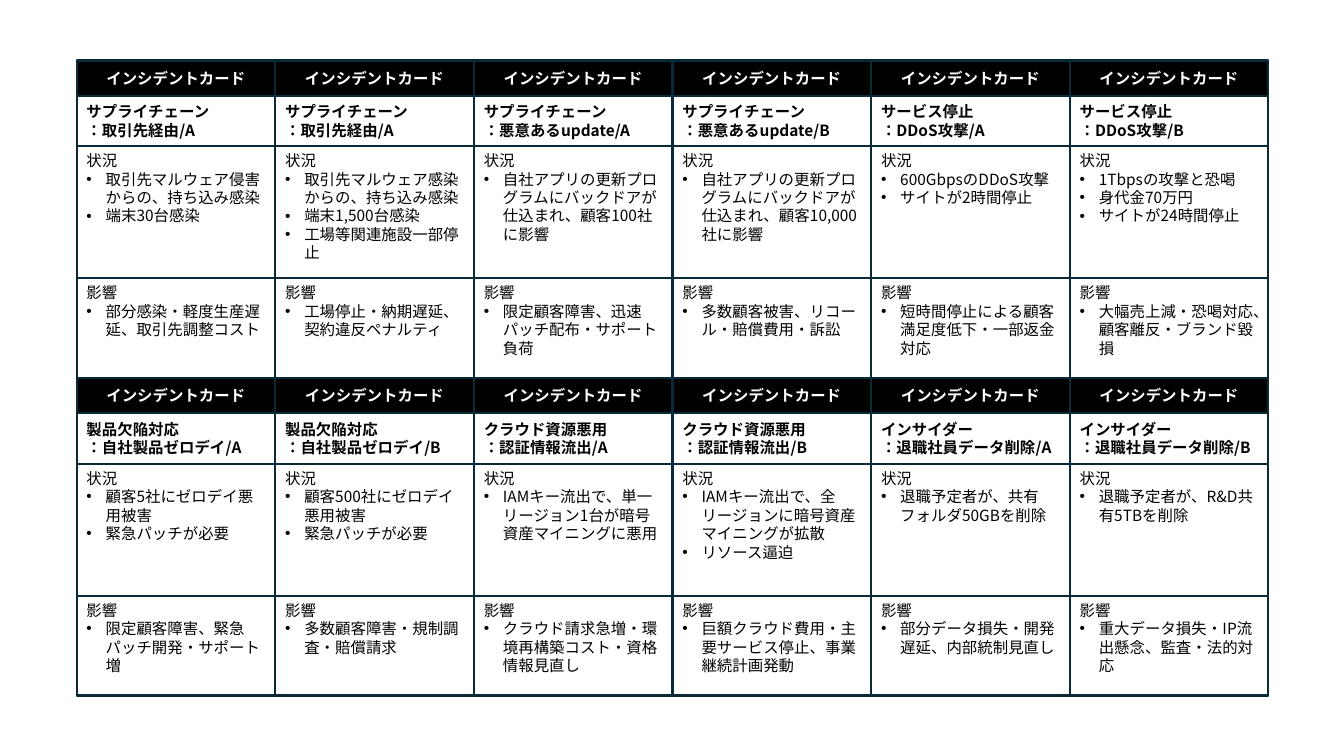
import pptx
import pptx.util
import pptx.dml.color
import pptx.enum.lang
import pptx.enum.shapes
import pptx.enum.text
import pptx.oxml.ns
from lxml import etree

Inches, Pt = pptx.util.Inches, pptx.util.Pt
ALIGN, ANCHOR = pptx.enum.text.PP_ALIGN, pptx.enum.text.MSO_ANCHOR

# Content: two rows of cards, each (category, case, situation, impact)
HEADING = "インシデントカード"
CARD_ROWS = [
    [
        ("サプライチェーン", "：取引先経由/A",
         ["取引先マルウェア侵害からの、持ち込み感染", "端末30台感染"],
         ["部分感染・軽度生産遅延、取引先調整コスト"]),
        ("サプライチェーン", "：取引先経由/A",
         ["取引先マルウェア感染からの、持ち込み感染", "端末1,500台感染", "工場等関連施設一部停止"],
         ["工場停止・納期遅延、契約違反ペナルティ"]),
        ("サプライチェーン", "：悪意あるupdate/A",
         ["自社アプリの更新プログラムにバックドアが仕込まれ、顧客100社に影響"],
         ["限定顧客障害、迅速パッチ配布・サポート負荷"]),
        ("サプライチェーン", "：悪意あるupdate/B",
         ["自社アプリの更新プログラムにバックドアが仕込まれ、顧客10,000社に影響"],
         ["多数顧客被害、リコール・賠償費用・訴訟"]),
        ("サービス停止", "：DDoS攻撃/A",
         ["600GbpsのDDoS攻撃", "サイトが2時間停止"],
         ["短時間停止による顧客満足度低下・一部返金対応"]),
        ("サービス停止", "：DDoS攻撃/B",
         ["1Tbpsの攻撃と恐喝", "身代金70万円", "サイトが24時間停止"],
         ["大幅売上減・恐喝対応、顧客離反・ブランド毀損"]),
    ],
    [
        ("製品欠陥対応", "：自社製品ゼロデイ/A",
         ["顧客5社にゼロデイ悪用被害", "緊急パッチが必要"],
         ["限定顧客障害、緊急パッチ開発・サポート増"]),
        ("製品欠陥対応", "：自社製品ゼロデイ/B",
         ["顧客500社にゼロデイ悪用被害", "緊急パッチが必要"],
         ["多数顧客障害・規制調査・賠償請求"]),
        ("クラウド資源悪用", "：認証情報流出/A",
         ["IAMキー流出で、単一リージョン1台が暗号資産マイニングに悪用"],
         ["クラウド請求急増・環境再構築コスト・資格情報見直し"]),
        ("クラウド資源悪用", "：認証情報流出/B",
         ["IAMキー流出で、全リージョンに暗号資産マイニングが拡散", "リソース逼迫"],
         ["巨額クラウド費用・主要サービス停止、事業継続計画発動"]),
        ("インサイダー", "：退職社員データ削除/A",
         ["退職予定者が、共有フォルダ50GBを削除"],
         ["部分データ損失・開発遅延、内部統制見直し"]),
        ("インサイダー", "：退職社員データ削除/B",
         ["退職予定者が、R&D共有5TBを削除"],
         ["重大データ損失・IP流出懸念、監査・法的対応"]),
    ],
]

# Layout and style
LEFT, TOP = 0.76, 0.6
CARD_WIDTH, CARD_HEIGHT = 1.97, 3.15
HEADING_HEIGHT, TITLE_HEIGHT, SITUATION_HEIGHT, IMPACT_HEIGHT = 0.35, 0.5, 1.31, 0.99
BULLET_INDENT = 0.19
FONT, FONT_SIZE = "Noto Sans CJK JP", 11
BORDER, BLACK, WHITE = "092A39", "000000", "FFFFFF"


def color(hex_code):
    return pptx.dml.color.RGBColor.from_string(hex_code)


def add_box(slide, x, y, height, fill=None):
    box = slide.shapes.add_shape(
        pptx.enum.shapes.MSO_SHAPE.RECTANGLE,
        Inches(x), Inches(y), Inches(CARD_WIDTH), Inches(height))
    box.shadow.inherit = False
    box.line.color.rgb = color(BORDER)
    box.line.width = Pt(1.5)
    if fill:
        box.fill.solid()
        box.fill.fore_color.rgb = color(fill)
    else:
        box.fill.background()
    return box


def add_bullet(paragraph):
    properties = paragraph._p.get_or_add_pPr()
    properties.set("marL", str(Inches(BULLET_INDENT)))
    properties.set("indent", str(-Inches(BULLET_INDENT)))
    for tag, attribute, value in (("a:buFont", "typeface", "Arial"), ("a:buChar", "char", "•")):
        etree.SubElement(properties, pptx.oxml.ns.qn(tag)).set(attribute, value)


def write(box, lines, anchor=ANCHOR.MIDDLE, align=ALIGN.LEFT, ink=BLACK, bold=False, bulleted=False):
    frame = box.text_frame
    frame.word_wrap = True
    frame.vertical_anchor = anchor
    frame.text = "\n".join(lines)
    for index, paragraph in enumerate(frame.paragraphs):
        paragraph.alignment = align
        if bulleted and index > 0:
            add_bullet(paragraph)
        for run in paragraph.runs:
            font = run.font
            font.name, font.size, font.bold = FONT, Pt(FONT_SIZE), bold
            font.color.rgb = color(ink)
            font.language_id = pptx.enum.lang.MSO_LANGUAGE_ID.JAPANESE
            # East Asian typeface
            east_asian = etree.SubElement(run._r.get_or_add_rPr(), pptx.oxml.ns.qn("a:ea"))
            east_asian.set("typeface", FONT)


def add_card(slide, x, y, category, case, situation, impact):
    # Outline, then sections stacked from the top
    add_box(slide, x, y, CARD_HEIGHT)
    write(add_box(slide, x, y, HEADING_HEIGHT, BLACK), [HEADING],
          align=ALIGN.CENTER, ink=WHITE, bold=True)
    y += HEADING_HEIGHT
    write(add_box(slide, x, y, TITLE_HEIGHT), [category, case], bold=True)
    y += TITLE_HEIGHT
    for label, points, height in (("状況", situation, SITUATION_HEIGHT),
                                  ("影響", impact, IMPACT_HEIGHT)):
        write(add_box(slide, x, y, height), [label, *points], anchor=ANCHOR.TOP, bulleted=True)
        y += height


def main():
    deck = pptx.Presentation()
    deck.slide_width, deck.slide_height = Inches(13.33), Inches(7.5)
    slide = deck.slides.add_slide(deck.slide_layouts[6])
    for row, cards in enumerate(CARD_ROWS):
        for column, card in enumerate(cards):
            add_card(slide, LEFT + column * CARD_WIDTH, TOP + row * CARD_HEIGHT, *card)
    deck.save("out.pptx")


if __name__ == "__main__":
    main()
